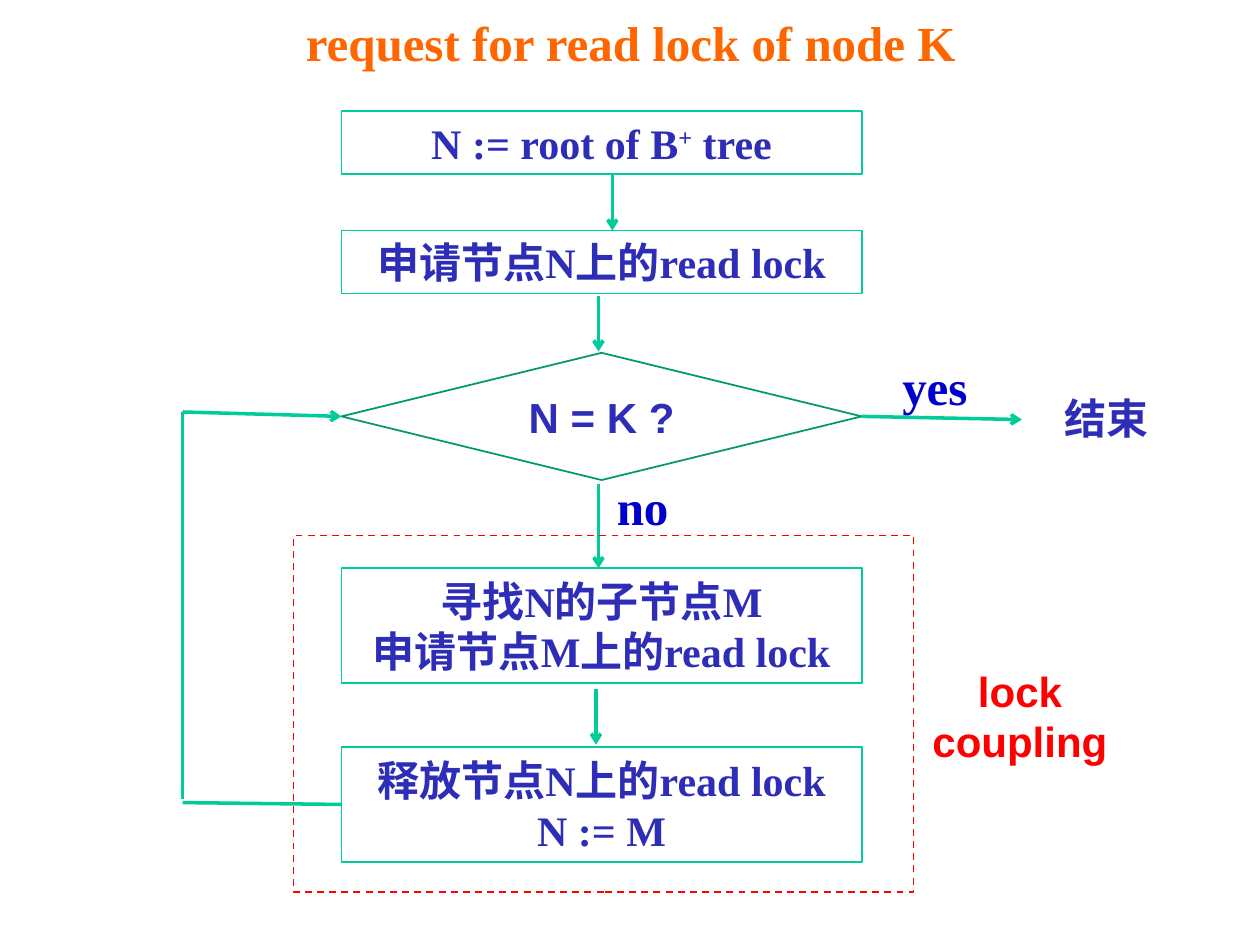
from lxml import etree
from pptx import Presentation
from pptx.dml import color
from pptx.enum import dml, shapes, text
from pptx.oxml import ns
from pptx.util import Inches, Pt

HUES = {"title": "FF6600", "body": "2D2DB7", "tag": "0000CC",
        "line": "00CC99", "edge": "009771", "alert": "FF0000"}
SERIF, SANS = "Times New Roman", "Arial"
WIDE, LOW, TALL = 4.13, 0.5, 0.91


def hue(name):
    return color.RGBColor.from_string(HUES[name])


def write(item, words, tint="body", size=24, face=SERIF, anchor="TOP"):
    frame = item.text_frame
    frame.text = words
    frame.word_wrap = True
    frame.auto_size = text.MSO_AUTO_SIZE.SHAPE_TO_FIT_TEXT
    frame.vertical_anchor = getattr(text.MSO_ANCHOR, anchor)
    for para in frame.paragraphs:
        para.alignment = text.PP_ALIGN.CENTER
        for run in para.runs:
            style(run, tint, size, face)


def style(run, tint, size, face):
    run.font.name = face
    run.font.size = Pt(size)
    run.font.bold = True
    run.font.color.rgb = hue(tint)


def label(slide, box, words, tint="body", size=24, face=SERIF):
    item = slide.shapes.add_textbox(*map(Inches, box))
    write(item, words, tint, size, face)


def outline(slide, box, tint="line", kind="RECTANGLE"):
    form = getattr(shapes.MSO_SHAPE, kind)
    item = slide.shapes.add_shape(form, *map(Inches, box))
    item.shadow.inherit = False
    item.fill.background()
    item.line.color.rgb = hue(tint)
    item.line.width = Pt(1)
    return item


def step(slide, box, words, tint="line", kind="RECTANGLE", face=SERIF):
    item = outline(slide, box, tint, kind)
    write(item, words, face=face, anchor="MIDDLE")
    return item


def link(slide, start, end, head=True):
    line = slide.shapes.add_connector(
        shapes.MSO_CONNECTOR.STRAIGHT, *map(Inches, start + end))
    line.line.color.rgb = hue("line")
    line.line.width = Pt(2)
    if head:
        tail = etree.SubElement(line.line._get_or_add_ln(), ns.qn("a:tailEnd"))
        tail.set("type", "arrow")
    etree.SubElement(line._element.spPr, ns.qn("a:effectLst"))
    return line


def header(slide, box):
    title = slide.shapes.title
    title.left, title.top, title.width, title.height = map(Inches, box)
    write(title, "request for read lock of node K", "title", 28)


def setup(slide, box):
    x, y, w, h = box
    root = step(slide, (x, y, w, LOW), "N := root of B")
    para = root.text_frame.paragraphs[0]
    for words, rise in (("+", "30000"), (" tree", "0")):
        run = para.add_run()
        run.text = words
        style(run, "body", 24, SERIF)
        run.font._element.set("baseline", rise)
    step(slide, (x, y + h - LOW, w, LOW), "申请节点N上的read lock")
    link(slide, (x + 2.15, y + LOW + 0.01), (x + 2.15, y + h - LOW))
    link(slide, (x + 2.04, y + h + 0.02), (x + 2.04, y + h + 0.46))


def choice(slide, box):
    x, y, w, h = box
    test = step(slide, box, "N = K ?", "edge", "DIAMOND", SANS)
    label(slide, (x + 1.9, y + 0.93, 0.98, 0.55), "no", "tag", 28)
    label(slide, (x + w + 0.09, y - 0.02, 0.98, 0.57), "yes", "tag", 28)
    label(slide, (x + w + 1.27, y + 0.27, 1.34, LOW), "结束")
    link(slide, (x + 2.04, y + h + 0.03), (x + 2.04, y + 1.71))
    leave = link(slide, (x + w, y + h / 2), (x + w + 1.27, y + 0.53))
    leave.begin_connect(test, 3)
    return test


def couple(slide, box):
    x, y, w, h = box
    frame = outline(slide, box, "alert")
    frame.line.dash_style = dml.MSO_LINE.DASH
    left = x + 0.38
    step(slide, (left, y + 0.26, WIDE, TALL),
         "寻找N的子节点M\n申请节点M上的read lock")
    free = step(slide, (left, y + 1.68, WIDE, TALL),
                "释放节点N上的read lock\nN := M")
    link(slide, (x + 2.4, y + 1.22), (x + 2.4, y + 1.66))
    label(slide, (x + w - 0.13, y + 0.98, 1.95, TALL),
          "lock\ncoupling", "alert", face=SANS)
    return free


def loop(slide, box, test, free):
    x, y, w, h = box
    link(slide, (x, y + h), (x + w, y + h), False).end_connect(free, 1)
    link(slide, (x, y), (x, y + h - 0.03), False)
    link(slide, (x, y), (x + w, y)).end_connect(test, 1)


def main():
    deck = Presentation()
    deck.slide_width, deck.slide_height = Inches(10), Inches(7.5)
    slide = deck.slides.add_slide(deck.slide_layouts[5])
    header(slide, (0.17, 0.05, 9.67, 0.57))
    setup(slide, (2.71, 0.88, WIDE, 1.45))
    test = choice(slide, (2.71, 2.8, WIDE, 1.01))
    free = couple(slide, (2.33, 4.25, 4.92, 2.83))
    loop(slide, (1.45, 3.27, 1.26, 3.1), test, free)
    deck.save("out.pptx")


if __name__ == "__main__":
    main()
